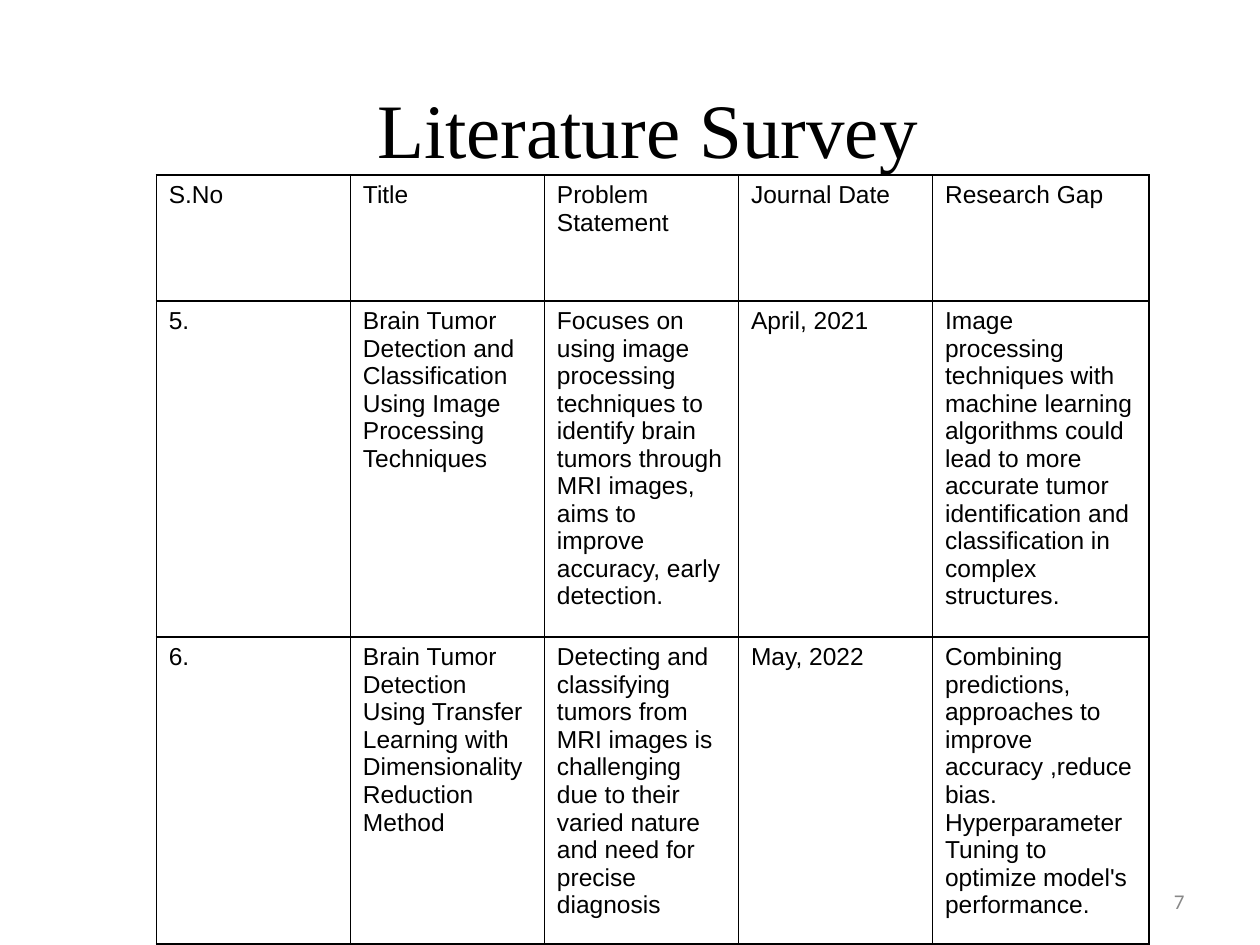
from dataclasses import dataclass

from lxml import etree
from pptx import Presentation
from pptx import util as u
from pptx.dml import color
from pptx.enum import text
from pptx.oxml import ns


@dataclass(frozen=True)
class Theme:
    ink: str = "000000"
    muted: str = "888888"
    title_font: str = "Times New Roman"
    table_font: str = "Arial"
    number_font: str = "Calibri"
    title_size: float = 44
    table_size: float = 14
    number_size: float = 12
    border: float = 1


THEME = Theme()

COLUMN_WIDTHS = [110.9] * 4 + [123.8]
ROW_HEIGHTS = [72, 163.5, 163.5]
SURVEY = [
    ["S.No", "Title", "Problem Statement", "Journal Date", "Research Gap"],
    ["5.",
     "Brain Tumor Detection and Classification Using Image Processing Techniques",
     "Focuses on using image processing techniques to identify brain tumors "
     "through MRI images, aims to improve accuracy, early detection.",
     "April, 2021",
     "Image processing techniques with machine learning algorithms could lead "
     "to more accurate tumor identification and classification in complex structures."],
    ["6.",
     "Brain Tumor Detection Using Transfer Learning with Dimensionality Reduction Method",
     "Detecting and classifying tumors from MRI images is challenging due to "
     "their varied nature and need for precise diagnosis",
     "May, 2022",
     "Combining predictions, approaches to improve accuracy ,reduce bias. "
     "Hyperparameter Tuning to optimize model's performance."],
]


def add_run(paragraph, wording, font, size, ink):
    run = paragraph.add_run()
    run.text = wording
    run.font.name = font
    run.font.size = u.Pt(size)
    run.font.color.rgb = color.RGBColor.from_string(ink)


def add_label(slide, box, wording, style, align, anchor, insets):
    frame = slide.shapes.add_textbox(*map(u.Pt, box)).text_frame
    frame.word_wrap = True
    frame.vertical_anchor = anchor
    frame.margin_left = frame.margin_right = u.Pt(insets[0])
    frame.margin_top = frame.margin_bottom = u.Pt(insets[1])
    frame.paragraphs[0].alignment = align
    add_run(frame.paragraphs[0], wording, *style)


def outline_cell(cell):
    properties = cell._tc.get_or_add_tcPr()
    for position, side in enumerate(("lnL", "lnR", "lnT", "lnB")):
        line = etree.Element(ns.qn(f"a:{side}"), w=str(u.Pt(THEME.border)))
        fill = etree.SubElement(line, ns.qn("a:solidFill"))
        etree.SubElement(fill, ns.qn("a:srgbClr"), val=THEME.ink)
        properties.insert(position, line)  # borders come before the fill


def add_survey_table(slide, left, top):
    table = slide.shapes.add_table(
        len(SURVEY), len(COLUMN_WIDTHS), u.Pt(left), u.Pt(top),
        u.Pt(sum(COLUMN_WIDTHS)), u.Pt(sum(ROW_HEIGHTS))).table
    table.first_row = table.horz_banding = False
    for column, width in zip(table.columns, COLUMN_WIDTHS):
        column.width = u.Pt(width)
    for row, height, entries in zip(table.rows, ROW_HEIGHTS, SURVEY):
        row.height = u.Pt(height)
        for cell, entry in zip(row.cells, entries):
            cell.fill.background()
            outline_cell(cell)
            add_run(cell.text_frame.paragraphs[0], entry,
                    THEME.table_font, THEME.table_size, THEME.ink)


def main():
    deck = Presentation()
    deck.slide_width, deck.slide_height = u.Pt(720), u.Pt(540)
    slide = deck.slides.add_slide(deck.slide_layouts[6])

    # Slide number
    add_label(slide, (516.2, 500.4, 167.8, 28.8), "7",
              (THEME.number_font, THEME.number_size, THEME.muted),
              text.PP_ALIGN.RIGHT, text.MSO_ANCHOR.MIDDLE, (7.2, 3.6))

    # Heading
    add_label(slide, (209.5, 37.4, 474.5, 96.5), "Literature Survey",
              (THEME.title_font, THEME.title_size, THEME.ink),
              text.PP_ALIGN.LEFT, text.MSO_ANCHOR.TOP, (6, 9))

    # Survey of papers
    add_survey_table(slide, left=89.3, top=100)

    deck.save("out.pptx")


if __name__ == "__main__":
    main()
